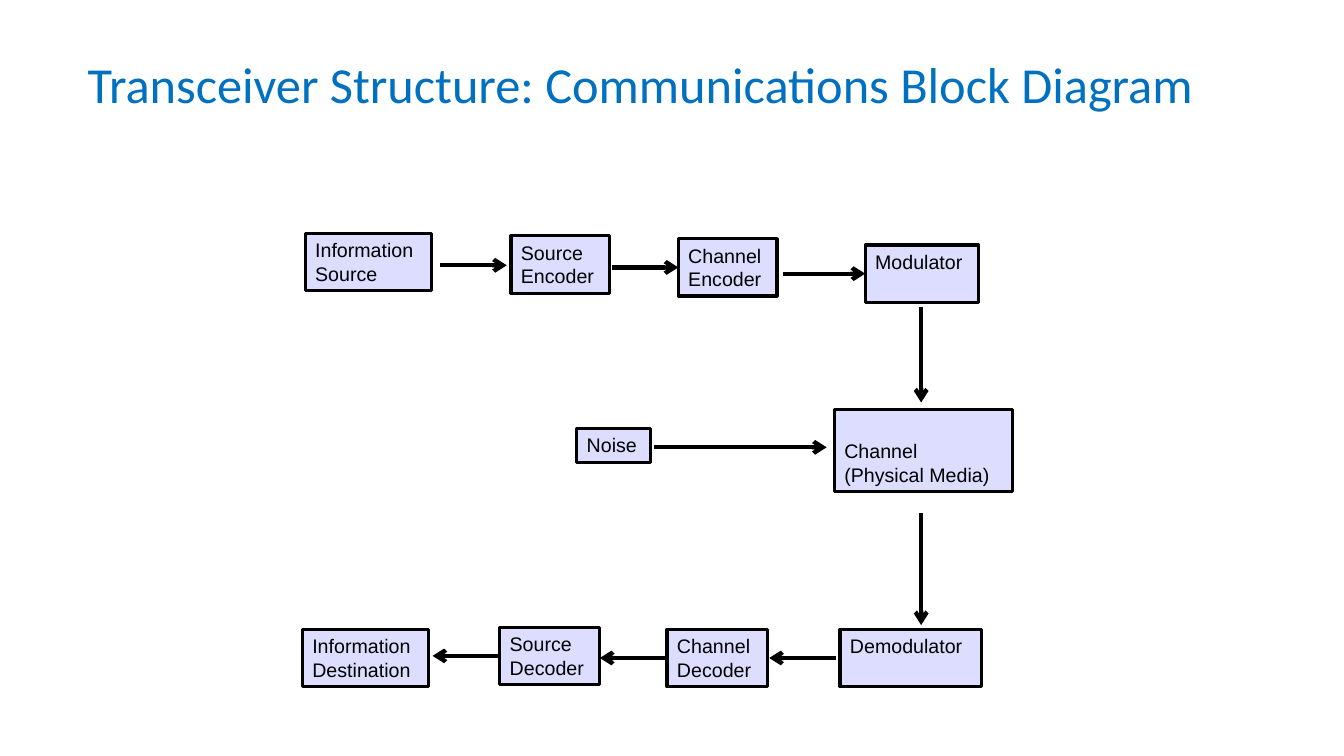
import pptx
import pptx.dml.color
import pptx.enum.shapes
import pptx.enum.text
import pptx.oxml.ns
import pptx.util
import lxml.etree

Pt = pptx.util.Pt
Anchor = pptx.enum.text.MSO_ANCHOR
Align = pptx.enum.text.PP_ALIGN
qn = pptx.oxml.ns.qn


class Theme:
    title = "0070C0"
    ink = "000000"
    fill = "DDDDFF"
    head_font, head_size = "Calibri", 36
    body_font, body_size = "Arial", 14
    edge, wire = 2.25, 3


def color(code):
    return pptx.dml.color.RGBColor.from_string(code)


class Board:
    def __init__(self, slide, theme):
        self.slide = slide
        self.theme = theme

    def label(self, frame, lines, font, size, code, anchor):
        frame.word_wrap = True
        frame.vertical_anchor = anchor
        for i, line in enumerate(lines):
            para = frame.add_paragraph() if i else frame.paragraphs[0]
            para.alignment = Align.LEFT
            run = para.add_run()
            run.text = line
            run.font.name = font
            run.font.size = Pt(size)
            run.font.color.rgb = color(code)

    def title(self, text, x, y, w, h):
        t = self.theme
        box = self.slide.shapes.add_textbox(Pt(x), Pt(y), Pt(w), Pt(h))
        self.label(box.text_frame, [text], t.head_font, t.head_size,
                   t.title, Anchor.MIDDLE)

    def block(self, lines, x, y, w, h=41, anchor=Anchor.TOP):
        t = self.theme
        box = self.slide.shapes.add_shape(
            pptx.enum.shapes.MSO_SHAPE.RECTANGLE, Pt(x), Pt(y), Pt(w), Pt(h))
        box.shadow.inherit = False
        box.fill.solid()
        box.fill.fore_color.rgb = color(t.fill)
        box.line.color.rgb = color(t.ink)
        box.line.width = Pt(t.edge)
        self.label(box.text_frame, lines, t.body_font, t.body_size,
                   t.ink, anchor)
        return box

    def arrow(self, x1, y1, x2, y2, start=None, end=None):
        t = self.theme
        wire = self.slide.shapes.add_connector(
            pptx.enum.shapes.MSO_CONNECTOR.STRAIGHT,
            Pt(x1), Pt(y1), Pt(x2), Pt(y2))
        if start:
            wire.begin_connect(*start)
        if end:
            wire.end_connect(*end)
        wire.line.color.rgb = color(t.ink)
        wire.line.width = Pt(t.wire)
        props = wire._element.spPr
        line = props.find(qn("a:ln"))
        lxml.etree.SubElement(line, qn("a:tailEnd"), type="arrow")
        lxml.etree.SubElement(props, qn("a:effectLst"))


def main():
    deck = pptx.Presentation()
    deck.slide_width, deck.slide_height = Pt(960), Pt(540)
    board = Board(deck.slides.add_slide(deck.slide_layouts[6]), Theme())

    board.title("Transceiver Structure: Communications Block Diagram",
                55.5, 29.5, 850, 60.5)

    # Sending side
    board.block(["Information", "Source"], 218, 166.5, 90)
    board.block(["Source", "Encoder"], 365, 168.5, 70.5)
    coder = board.block(["Channel", "Encoder"], 484.5, 170.5, 70.5)
    mod = board.block(["Modulator"], 618, 175, 81)

    # Channel and noise
    board.block(["Channel", "(Physical Media)"], 596, 292.5, 127, 58.5,
                Anchor.BOTTOM)
    board.block(["Noise"], 412, 306, 52.5, 24.5)

    # Receiving side
    board.block(["Information", "Destination"], 216, 449.5, 90)
    source = board.block(["Source", "Decoder"], 357, 448, 71.5)
    channel = board.block(["Channel", "Decoder"], 476.5, 449.5, 71.5)
    board.block(["Demodulator"], 600, 449.5, 101)

    # Arrows along the sending side
    board.arrow(314.5, 189.5, 362, 189.5)
    board.arrow(437.5, 191, 484.5, 191, end=(coder, 1))
    board.arrow(559.5, 195.5, 618, 195.5, end=(mod, 1))

    # Arrows through the channel
    board.arrow(658, 219, 658, 287.5)
    board.arrow(467, 319.5, 590.5, 319.5)
    board.arrow(658, 366.5, 658, 446.5)

    # Arrows along the receiving side
    board.arrow(597.5, 470, 549.5, 470)
    board.arrow(476.5, 470, 428.5, 470, start=(channel, 1))
    board.arrow(357, 468.5, 309, 468.5, start=(source, 1))

    deck.save("out.pptx")


if __name__ == "__main__":
    main()
